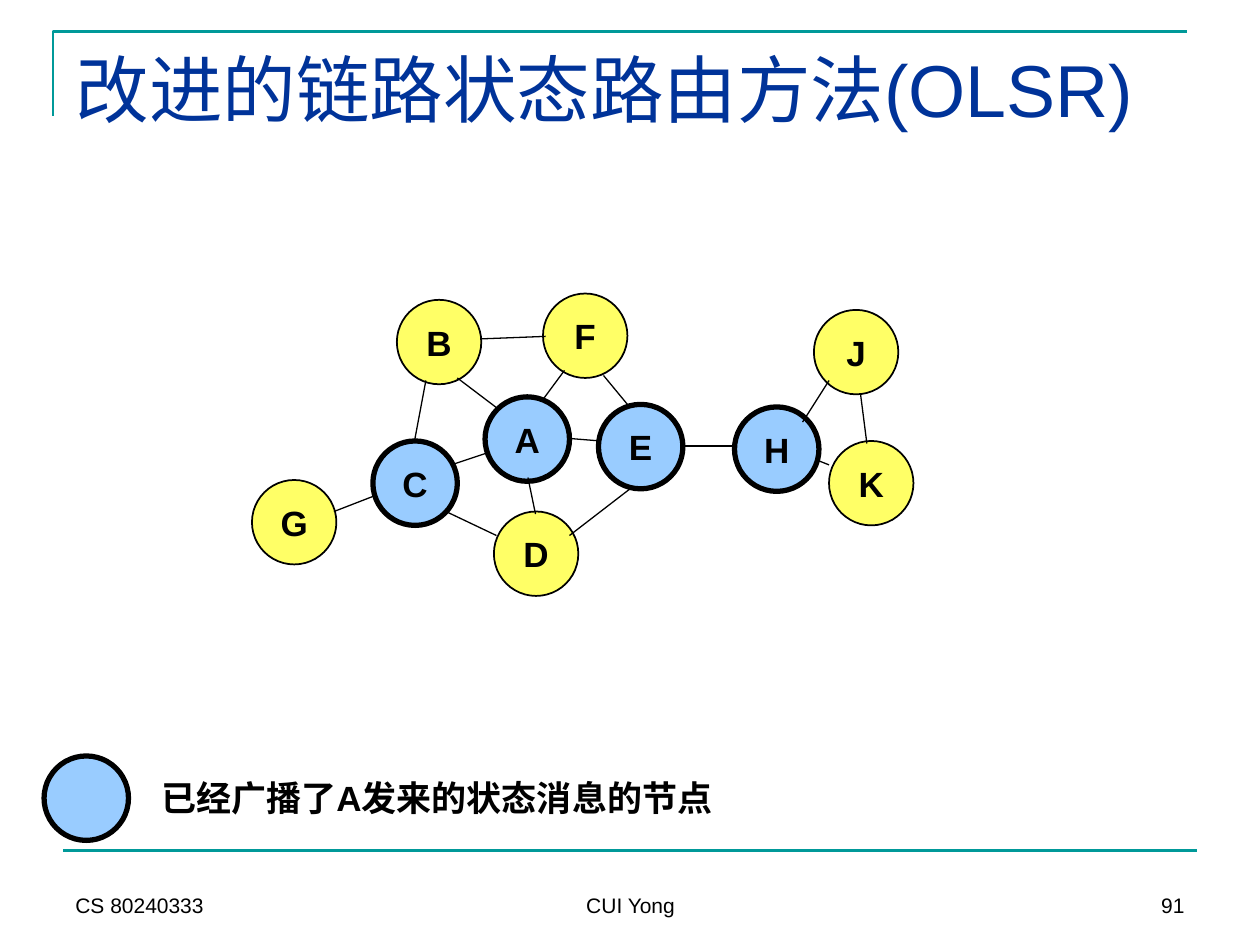
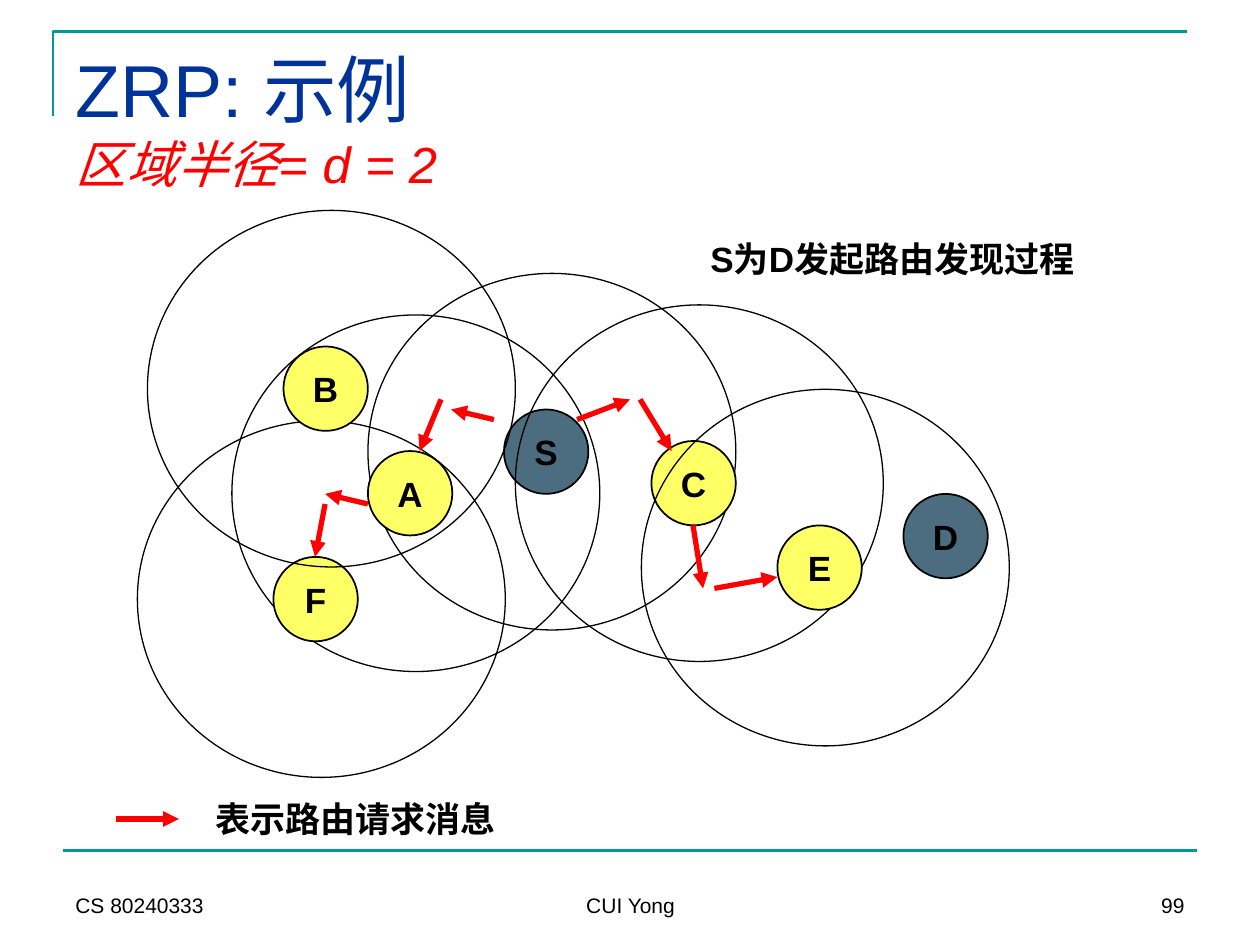
import copy
import dataclasses

import lxml.etree
import pptx
import pptx.dml.color
import pptx.enum.shapes
import pptx.enum.text
import pptx.oxml.ns
import pptx.util

Inches = pptx.util.Inches
Pt = pptx.util.Pt
ALIGN = pptx.enum.text.PP_ALIGN
ANCHOR = pptx.enum.text.MSO_ANCHOR
FIT = pptx.enum.text.MSO_AUTO_SIZE
OVAL = pptx.enum.shapes.MSO_SHAPE.OVAL
STRAIGHT = pptx.enum.shapes.MSO_CONNECTOR.STRAIGHT


@dataclasses.dataclass(frozen=True)
class Theme:
    font: str = "Arial"
    ink: str = "000000"
    title: str = "003399"
    frame: str = "009999"
    red: str = "FF0000"
    plain: str = "FFFF66"
    sent: str = "99CCFF"
    endpoint: str = "4C6D80"
    title_size: float = 42
    subtitle_size: float = 29
    label_size: float = 20
    footer_size: float = 12
    thin: float = 0.75
    outline: float = 1
    rule: float = 1.5
    heavy: float = 3


NODE = 0.67
ZONE_SIZE = (2.92, 2.83)
ZONE_OFFSET = 1.08


def set_all(obj, values):
    for name, value in values.items():
        setattr(obj, name, value)


def rgb(color):
    return pptx.dml.color.RGBColor.from_string(color)


class Deck:
    def __init__(self, theme):
        self.theme = theme
        self.prs = pptx.Presentation()
        set_all(self.prs, {"slide_width": Inches(10), "slide_height": Inches(7.5)})
        self.s = None

    def slide(self, number):
        t = self.theme
        self.s = self.prs.slides.add_slide(self.prs.slide_layouts[5])
        fb = self.s.shapes.build_freeform(Inches(0.42), Inches(0.92))
        fb.add_line_segments([(Inches(0.42), Inches(0.25)), (Inches(9.42), Inches(0.25))], close=False)
        sp = fb.convert_to_shape()
        sp.shadow.inherit = False
        sp.fill.background()
        self.stroke(sp, t.frame, t.rule)
        self.line(0.5, 6.75, 9.5, 6.75, t.frame, t.rule)
        for left, width, text, align in (
            (0.5, 2.33, "CS 80240333", ALIGN.LEFT),
            (3.42, 3.17, "CUI Yong", ALIGN.CENTER),
            (7.17, 2.33, number, ALIGN.RIGHT),
        ):
            self.text(left, 6.83, width, 0.5, text, align, size=t.footer_size,
                      bold=False, vertical_anchor=ANCHOR.BOTTOM)

    def stroke(self, sp, color, width):
        sp.line.color.rgb = rgb(color)
        sp.line.width = Pt(width)

    def run(self, p, text, size, color, **fmt):
        r = p.add_run()
        r.text = text
        r.font.color.rgb = rgb(color)
        set_all(r.font, {"name": self.theme.font, "size": Pt(size), **fmt})
        return r

    def title(self, text, subtitle=()):
        t = self.theme
        sp = self.s.shapes.title
        set_all(sp, {"left": Inches(0.5), "top": Inches(0.3),
                     "width": Inches(9), "height": Inches(1.25)})
        set_all(sp.text_frame, {"vertical_anchor": ANCHOR.TOP, "auto_size": FIT.NONE, "word_wrap": True})
        p = sp.text_frame.paragraphs[0]
        p.alignment = ALIGN.LEFT
        r = self.run(p, text, t.title_size, t.title)
        if subtitle:
            p.add_line_break()
            p._p[-1].append(copy.deepcopy(r._r.get_or_add_rPr()))
        for part, italic in subtitle:
            self.run(p, part, t.subtitle_size, t.red, italic=italic)

    def text(self, left, top, width, height, text, align=ALIGN.LEFT, size=None, bold=True, **frame):
        t = self.theme
        sp = self.s.shapes.add_textbox(Inches(left), Inches(top), Inches(width), Inches(height))
        tf = sp.text_frame
        set_all(tf, {"word_wrap": True, "vertical_anchor": ANCHOR.MIDDLE, **frame})
        p = tf.paragraphs[0]
        p.alignment = align
        self.run(p, text, size or t.label_size, t.ink, bold=bold)

    def label(self, left, top, width, text, align=ALIGN.LEFT):
        self.text(left, top, width, 0.44, text, align, auto_size=FIT.SHAPE_TO_FIT_TEXT)

    def oval(self, left, top, width, height, weight, fill=None):
        sp = self.s.shapes.add_shape(OVAL, Inches(left), Inches(top), Inches(width), Inches(height))
        sp.shadow.inherit = False
        if fill:
            sp.fill.solid()
            sp.fill.fore_color.rgb = rgb(fill)
        else:
            sp.fill.background()
        self.stroke(sp, self.theme.ink, weight)
        return sp

    def node(self, name, left, top, fill):
        t = self.theme
        weight = t.heavy if fill == t.sent else t.outline
        sp = self.oval(left, top, NODE, NODE, weight, fill)
        if name:
            tf = sp.text_frame
            set_all(tf, {"word_wrap": False, "vertical_anchor": ANCHOR.MIDDLE})
            p = tf.paragraphs[0]
            p.alignment = ALIGN.CENTER
            self.run(p, name, t.label_size, t.ink, bold=True)

    def zone(self, left, top):
        self.oval(left - ZONE_OFFSET, top - ZONE_OFFSET, *ZONE_SIZE, self.theme.thin)

    def line(self, x1, y1, x2, y2, color, width):
        sp = self.s.shapes.add_connector(STRAIGHT, Inches(x1), Inches(y1), Inches(x2), Inches(y2))
        self.stroke(sp, color, width)
        lxml.etree.SubElement(sp._element.spPr, pptx.oxml.ns.qn("a:effectLst"))
        return sp

    def edge(self, *ends):
        self.line(*ends, self.theme.ink, self.theme.thin)

    def arrow(self, *ends):
        sp = self.line(*ends, self.theme.red, self.theme.heavy)
        lxml.etree.SubElement(sp.line._get_or_add_ln(), pptx.oxml.ns.qn("a:tailEnd"), type="triangle")


def olsr_slide(deck):
    t = deck.theme
    deck.slide("91")
    deck.title("改进的链路状态路由方法(OLSR)")
    nodes = {
        "A": (3.85, 3.15), "B": (3.15, 2.38), "F": (4.31, 2.33), "C": (2.96, 3.5), "D": (3.92, 4.06),
        "E": (4.75, 3.21), "H": (5.83, 3.23), "G": (2, 3.81), "K": (6.58, 3.5), "J": (6.46, 2.46),
    }
    for name, spot in nodes.items():
        deck.node(name, *spot, t.sent if name in "ACEH" else t.plain)
    for ends in (
        (2.65, 4.06, 2.96, 3.94), (3.63, 3, 3.96, 3.25), (3.58, 3.69, 3.85, 3.6),
        (4.19, 3.79, 4.25, 4.08), (4.31, 3.17, 4.48, 2.94), (4.52, 3.48, 4.77, 3.5),
        (5.42, 3.54, 5.83, 3.54), (6.58, 3.02, 6.37, 3.35), (6.48, 3.65, 6.58, 3.69),
        (6.83, 3.13, 6.88, 3.52), (3.38, 3.02, 3.29, 3.5), (3.81, 2.69, 4.33, 2.67),
        (4.79, 2.98, 4.98, 3.21), (3.54, 4.06, 3.94, 4.25), (5, 3.88, 4.52, 4.25),
    ):
        deck.edge(*ends)
    deck.node("", 0.35, 6, t.sent)
    deck.label(1.18, 6.11, 4.9, "已经广播了A发来的状态消息的节点")


def zrp_slide(deck):
    t = deck.theme
    deck.slide("99")
    deck.title("ZRP: 示例", [("区域半径", True), ("= ", False), ("d = 2", True)])
    nodes = {
        "S": (4, 3.25), "C": (5.17, 3.5), "A": (2.92, 3.58), "E": (6.17, 4.17),
        "F": (2.17, 4.42), "B": (2.25, 2.75), "D": (7.17, 3.92),
    }
    for name, spot in nodes.items():
        if name != "D":
            deck.zone(*spot)
        deck.node(name, *spot, t.endpoint if name in "SD" else t.plain)
    for ends in (
        (4.58, 3.33, 5, 3.17), (5.08, 3.17, 5.33, 3.58), (3.92, 3.33, 3.58, 3.25),
        (3.5, 3.17, 3.33, 3.58), (2.92, 4, 2.58, 3.92), (2.58, 4, 2.5, 4.42),
        (5.5, 4.17, 5.58, 4.67), (5.67, 4.67, 6.17, 4.58), (0.92, 6.5, 1.42, 6.5),
    ):
        deck.arrow(*ends)
    deck.label(4.75, 1.83, 4.67, "S为D发起路由发现过程", ALIGN.CENTER)
    deck.label(1.61, 6.28, 2.6, "表示路由请求消息")


def main():
    deck = Deck(Theme())
    olsr_slide(deck)
    zrp_slide(deck)
    deck.prs.save("out.pptx")


if __name__ == "__main__":
    main()
